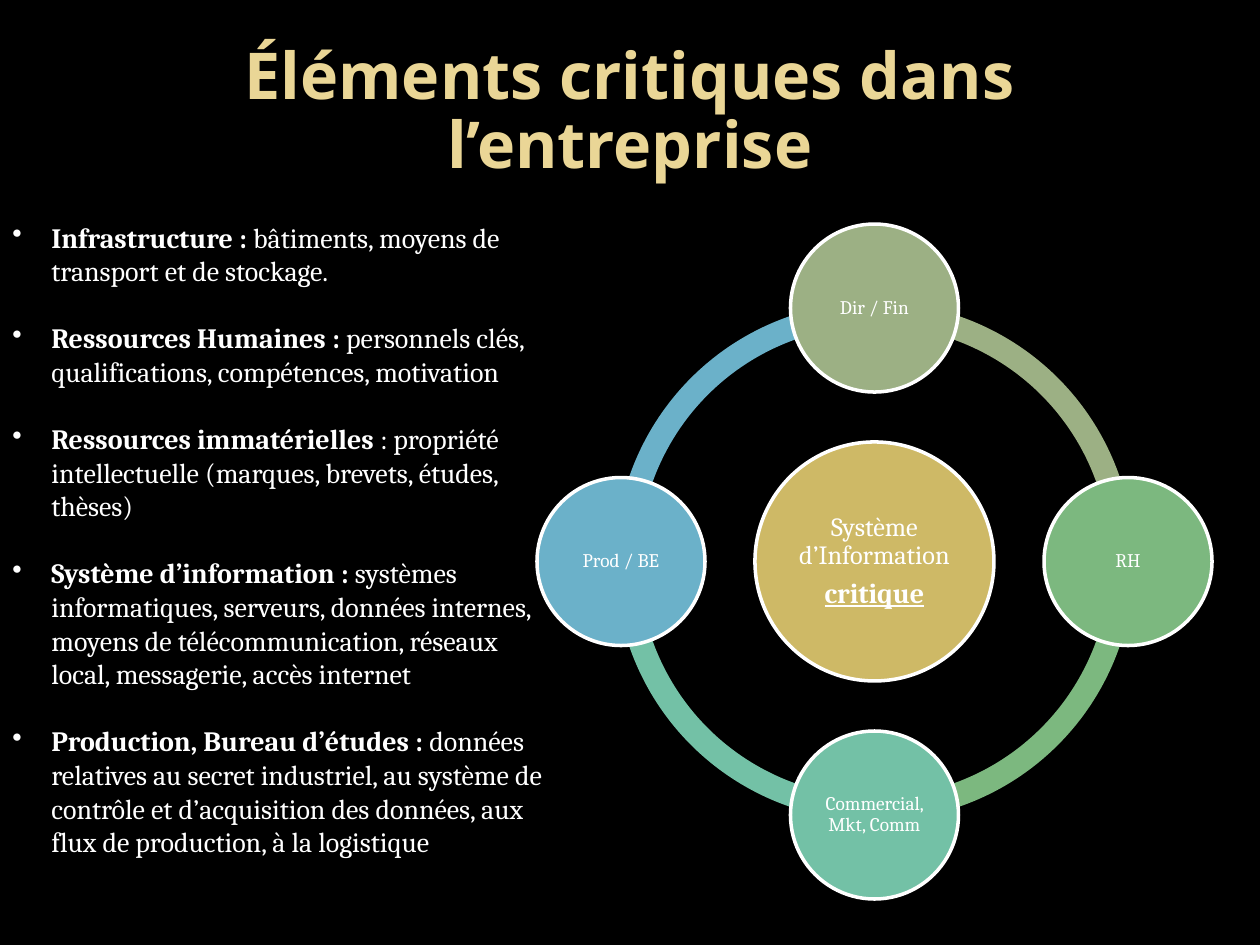
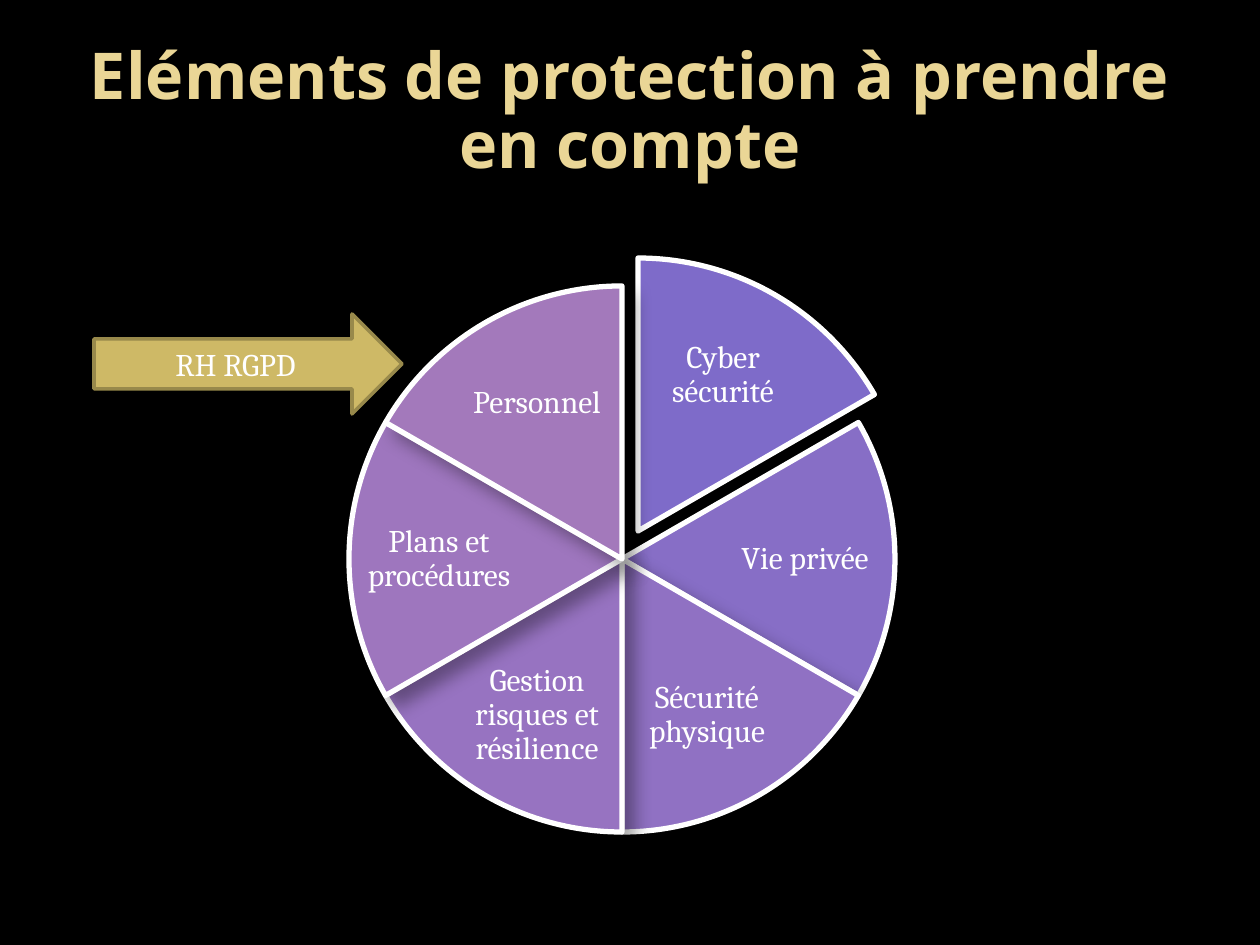
from lxml import etree
from pptx import Presentation
from pptx.dml.color import RGBColor
from pptx.enum import shapes, text
from pptx.oxml.ns import qn
from pptx.util import Emu, Pt

EMU_PER_PX = 914400 / 126
SLIDE_W, SLIDE_H = 1260, 945
BLACK = RGBColor(0x00, 0x00, 0x00)
WHITE = RGBColor(0xFF, 0xFF, 0xFF)
SAND = RGBColor(0xEA, 0xD6, 0x96)
GOLD = RGBColor(0xCE, 0xB9, 0x66)
DARK_GOLD = RGBColor(0x98, 0x89, 0x4B)
SAGE = RGBColor(0x9C, 0xB0, 0x84)
GREEN = RGBColor(0x7C, 0xB8, 0x7F)
TEAL = RGBColor(0x73, 0xC1, 0xA6)
BLUE = RGBColor(0x6B, 0xB1, 0xC9)
PURPLES = [RGBColor.from_string(c) for c in
           ("7E6BC9", "876EC6", "9071C3", "9773C1", "9E76BE", "A379BB")]
BODY_FONT, TITLE_FONT = "Cambria", "Open Sans"
MIDDLE, TOP = text.MSO_ANCHOR.MIDDLE, text.MSO_ANCHOR.TOP
CENTER, LEFT = text.PP_ALIGN.CENTER, text.PP_ALIGN.LEFT
SHAPE = shapes.MSO_SHAPE

ASSETS = [
    ("Infrastructure : ", "bâtiments, moyens de transport et de stockage."),
    ("Ressources Humaines : ", "personnels clés, qualifications, compétences, motivation"),
    ("Ressources immatérielles ",
     ": propriété intellectuelle (marques, brevets, études, thèses)"),
    ("Système d’information : ",
     "systèmes informatiques, serveurs, données internes, moyens de "
     "télécommunication, réseaux local, messagerie, accès internet"),
    ("Production, Bureau d’études : ",
     "données relatives au secret industriel, au système de contrôle et "
     "d’acquisition des données, aux flux de production, à la logistique"),
]
DEPARTMENTS = [("Dir / Fin", SAGE, 0, -1), ("RH", GREEN, 1, 0),
               ("Commercial, Mkt, Comm", TEAL, 0, 1), ("Prod / BE", BLUE, -1, 0)]
PROTECTIONS = [("Cyber sécurité", 85, -156), ("Vie privée", 183, 0),
               ("Sécurité physique", 85, 156), ("Gestion risques et résilience", -85, 156),
               ("Plans et procédures", -183, 0), ("Personnel", -85, -156)]


def px(n):
    return Emu(round(n * EMU_PER_PX))


def box_around(cx, cy, w, h):
    return cx - w / 2, cy - h / 2, w, h


def write(tf, paragraphs, size=18, color=WHITE, font=BODY_FONT, align=CENTER,
          anchor=MIDDLE, spacing=None, before=0, inset=None, bullet_indent=None):
    tf.word_wrap = True
    tf.vertical_anchor = anchor
    if inset is not None:
        tf.margin_left = tf.margin_right = tf.margin_top = tf.margin_bottom = px(inset)
    for i, runs in enumerate(paragraphs):
        p = tf.add_paragraph() if i else tf.paragraphs[0]
        p.alignment = align
        if spacing:
            p.line_spacing = spacing
        p.space_before = Pt(before if i else 0)
        if bullet_indent:
            pPr = p._p.get_or_add_pPr()
            pPr.set("marL", str(px(bullet_indent)))
            pPr.set("indent", str(-px(bullet_indent)))
            etree.SubElement(pPr, qn("a:buChar"), char="•")
        for content, style in runs:
            r = p.add_run()
            r.text = content
            r.font.name = font
            r.font.size = Pt(style.get("size", size))
            r.font.color.rgb = color
            r.font.bold = style.get("bold", False)
            r.font.underline = style.get("underline", False)


def add_text(slide, box, paragraphs, **fmt):
    tb = slide.shapes.add_textbox(*map(px, box))
    write(tb.text_frame, paragraphs, **fmt)


def add_preset(slide, kind, box, fill, line=None, width=2, adjustments=()):
    sp = slide.shapes.add_shape(kind, *map(px, box))
    sp.shadow.inherit = False
    sp.fill.solid()
    sp.fill.fore_color.rgb = fill
    if line is None:
        sp.line.fill.background()
    else:
        sp.line.color.rgb = line
        sp.line.width = Pt(width)
    for i, value in enumerate(adjustments):
        sp.adjustments[i] = value
    return sp


def angle(degrees):
    return degrees % 360 * 0.6


def cast_shadow(sp):
    effects = sp._element.spPr.find(qn("a:effectLst"))
    shadow = etree.SubElement(effects, qn("a:outerShdw"), blurRad=str(Pt(10.2)),
                              dist=str(Pt(8)), dir="2700000", algn="tl", rotWithShape="0")
    color = etree.SubElement(shadow, qn("a:srgbClr"), val=str(BLACK))
    etree.SubElement(color, qn("a:alpha"), val="35000")


def add_titled_slide(prs, title):
    slide = prs.slides.add_slide(prs.slide_layouts[6])
    slide.background.fill.solid()
    slide.background.fill.fore_color.rgb = BLACK
    add_text(slide, (63, 38, 1134, 157), [[(title, {"bold": True})]], size=36.9,
             color=SAND, font=TITLE_FONT, anchor=TOP, spacing=0.89)
    return slide


def add_asset_list(slide, box):
    paragraphs = [[(lead, {"bold": True}), (detail, {})] for lead, detail in ASSETS]
    add_text(slide, box, paragraphs, size=16, align=LEFT, anchor=TOP,
             before=19.2, bullet_indent=39)


def add_department_ring(slide, box):
    x, y, w, h = box
    cx, cy = x + w / 2, y + h / 2
    node, hub, ring = 168, 239, 519
    orbit = (w - node) / 2
    for i, (_, color, _, _) in reversed(list(enumerate(DEPARTMENTS))):
        start = 270 + 90 * i
        add_preset(slide, SHAPE.BLOCK_ARC, box_around(cx, cy, ring, ring), color,
                   adjustments=(angle(start), angle(start + 90), 0.046))
    center = add_preset(slide, SHAPE.OVAL, box_around(cx, cy, hub, hub), GOLD, WHITE)
    write(center.text_frame,
          [[("Système d’Information", {})],
           [("critique", {"size": 16, "bold": True, "underline": True})]],
          size=15, spacing=0.9, before=5, inset=2)
    for label, color, dx, dy in DEPARTMENTS:
        sp = add_preset(slide, SHAPE.OVAL,
                        box_around(cx + orbit * dx, cy + orbit * dy, node, node), color, WHITE)
        write(sp.text_frame, [[(label, {})]], size=11, spacing=0.9, inset=2)


def add_protection_pie(slide, box):
    x, y, w, h = box
    for i, ((label, dx, dy), color) in enumerate(zip(PROTECTIONS, PURPLES)):
        shift_x, shift_y = (16, -28) if i == 0 else (0, 0)
        cx, cy = x + w / 2 + shift_x, y + h / 2 + shift_y
        start = 270 + 60 * i
        sp = add_preset(slide, SHAPE.PIE, box_around(cx, cy, w, h), color, WHITE, 3,
                        (angle(start), angle(start + 60)))
        cast_shadow(sp)
        add_text(slide, box_around(cx + dx, cy + dy, 160, 114), [[(label, {})]],
                 spacing=0.9, inset=4)


def add_callout_arrow(slide, box, label):
    sp = add_preset(slide, SHAPE.RIGHT_ARROW, box, GOLD, DARK_GOLD)
    write(sp.text_frame, [[(label, {})]])


def main():
    prs = Presentation()
    prs.slide_width, prs.slide_height = px(SLIDE_W), px(SLIDE_H)

    slide = add_titled_slide(prs, "Éléments critiques dans l’entreprise")
    add_department_ring(slide, (537, 224, 675, 675))
    add_asset_list(slide, (0, 214, 571, 658))

    slide = add_titled_slide(prs, "Eléments de protection à prendre en compte")
    add_protection_pie(slide, (349, 286, 546, 546))
    add_callout_arrow(slide, (94, 314, 308, 100), "RH RGPD")

    prs.save("out.pptx")


if __name__ == "__main__":
    main()
